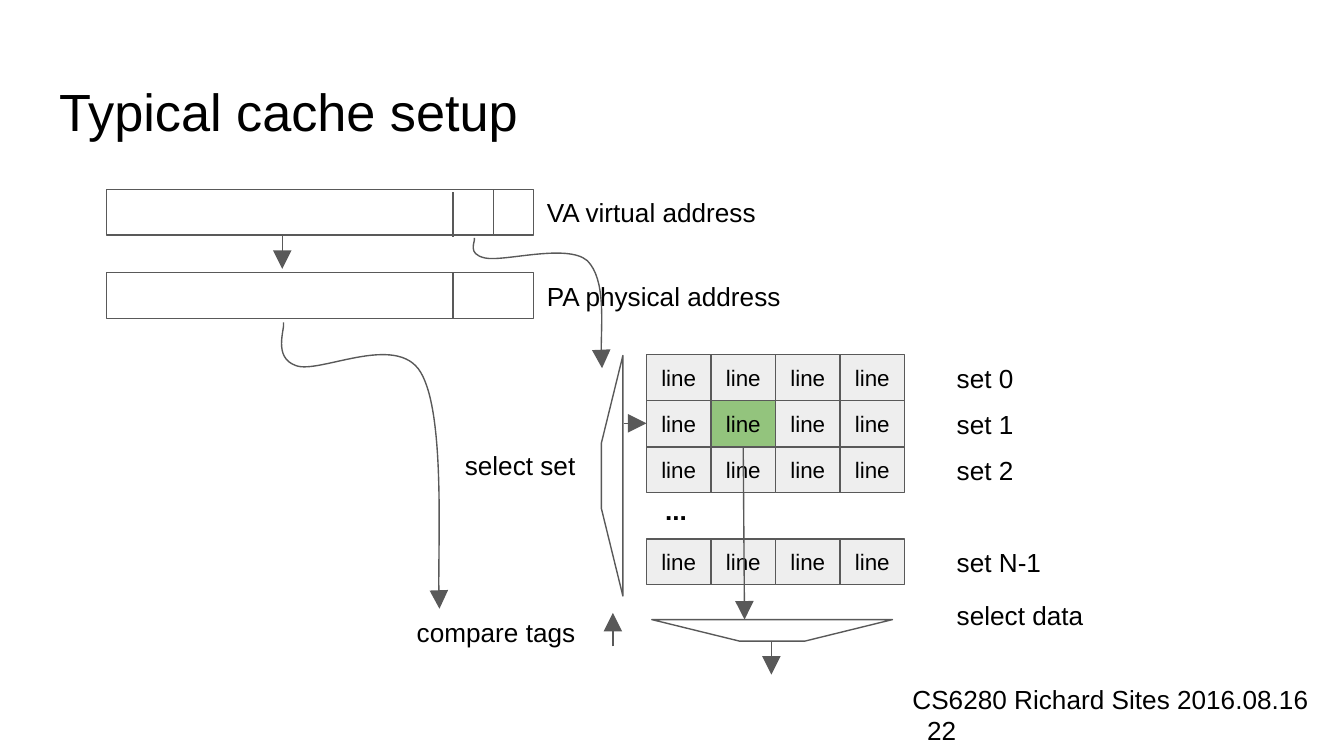
from lxml.etree import SubElement
from pptx import Presentation
from pptx.dml.color import RGBColor
from pptx.enum.shapes import MSO_CONNECTOR, MSO_SHAPE
from pptx.enum.text import MSO_ANCHOR, PP_ALIGN
from pptx.oxml.ns import qn
from pptx.util import Inches, Pt

COLORS = {"text": "000000", "line": "595959", "cell": "EEEEEE", "hit": "93C47D"}


def write(shape, text, size=14, align=PP_ALIGN.LEFT, anchor=MSO_ANCHOR.MIDDLE):
    frame = shape.text_frame
    frame.text = text
    frame.word_wrap = True
    frame.vertical_anchor = anchor
    frame.margin_left = frame.margin_right = Inches(0.1)
    frame.margin_top = frame.margin_bottom = Inches(0.1)
    para = frame.paragraphs[0]
    para.alignment = align
    para.font.size = Pt(size)
    para.font.name = "Arial"
    para.font.color.rgb = RGBColor.from_string(COLORS["text"])
    return para


def outline(shape, arrow=False):
    shape.line.color.rgb = RGBColor.from_string(COLORS["line"])
    shape.line.width = Pt(0.75)
    properties = shape._element.spPr
    if arrow:
        SubElement(properties.find(qn("a:ln")), qn("a:tailEnd"),
                   type="triangle", w="lg", len="lg")
    SubElement(properties, qn("a:effectLst"))


deck = Presentation()
deck.slide_width = Inches(10)
deck.slide_height = deck.slide_width * 9 // 16
page = deck.slides.add_slide(deck.slide_layouts[5])
shapes = page.shapes

title = shapes.title
title.left, title.top = Inches(0.34), Inches(0.49)
title.width, title.height = Inches(9.32), Inches(0.63)
write(title, "Typical cache setup", 28, anchor=MSO_ANCHOR.TOP)

footer = shapes.add_textbox(Inches(6.69), Inches(5.1), Inches(3.18), Inches(0.43))
credit = write(footer, "CS6280 Richard Sites 2016.08.16 22")
hanging = credit._p.get_or_add_pPr()
hanging.set("marL", str(Inches(0.11)))
hanging.set("indent", str(-Inches(0.11)))

for top in (1.41, 2.03):
    address = shapes.add_shape(MSO_SHAPE.RECTANGLE, Inches(0.79), Inches(top),
                               Inches(3.18), Inches(0.34))
    address.fill.background()
    outline(address)

table_left, table_top = 4.81, 2.64
cell_width, cell_height = 0.48, 0.34
row_pitch = (4.01 - table_top) / 4
set_rows = {"set 0": 0, "set 1": 1, "set 2": 2, "set N-1": 4}
labels = [
    ("VA virtual address", 3.97, 1.41, 2.17, PP_ALIGN.LEFT),
    ("PA physical address", 3.97, 2.03, 2.17, PP_ALIGN.LEFT),
    ("select set", 2.67, 3.29, 1.71, PP_ALIGN.RIGHT),
    ("compare tags", 2.67, 4.53, 1.71, PP_ALIGN.RIGHT),
    ("select data", 7.02, 4.41, 1.71, PP_ALIGN.LEFT),
]
for name, row in set_rows.items():
    top = table_top + row * row_pitch
    labels.append((name, 7.02, top, 1.71, PP_ALIGN.LEFT))
    for column in range(4):
        cell = shapes.add_shape(MSO_SHAPE.RECTANGLE, Inches(table_left + column * cell_width),
                                Inches(top), Inches(cell_width), Inches(cell_height))
        fill = "hit" if (row, column) == (1, 1) else "cell"
        cell.fill.solid()
        cell.fill.fore_color.rgb = RGBColor.from_string(COLORS[fill])
        outline(cell)
        write(cell, "line", 12, PP_ALIGN.CENTER)

for text, left, top, width, align in labels:
    box = shapes.add_textbox(Inches(left), Inches(top), Inches(width), Inches(0.34))
    write(box, text, align=align)

dots = shapes.add_textbox(Inches(4.85), Inches(3.67), Inches(0.86), Inches(0.25))
write(dots, "...").font.bold = True

for left, top, rotation in ((4.85, 4.61, 180), (3.66, 3.46, 270)):
    selector = shapes.add_shape(MSO_SHAPE.TRAPEZOID, Inches(left), Inches(top),
                                Inches(1.79), Inches(0.16))
    selector.rotation = rotation
    selector.adjustments[0] = 4.07
    selector.fill.background()
    outline(selector)

lines = [
    (3.37, 1.76, 3.37, 1.43, False),
    (3.37, 2.37, 3.37, 2.03, False),
    (3.67, 1.74, 3.67, 1.41, False),
    (2.1, 1.75, 2.1, 2, True),
    (5.74, 4.77, 5.74, 5.02, True),
    (4.56, 4.81, 4.56, 4.56, True),
    (5.53, 3.33, 5.54, 4.61, True),
    (4.64, 3.15, 4.81, 3.15, True),
]
for x1, y1, x2, y2, arrow in lines:
    line = shapes.add_connector(MSO_CONNECTOR.STRAIGHT, Inches(x1), Inches(y1),
                                Inches(x2), Inches(y2))
    outline(line, arrow)

curves = [
    [(3.53, 1.77), (3.54, 1.8), (3.47, 1.89), (3.61, 1.92), (3.75, 1.95),
     (4.22, 1.81), (4.37, 1.94), (4.51, 2.08), (4.46, 2.61), (4.48, 2.74)],
    [(2.11, 2.4), (2.12, 2.45), (2.03, 2.66), (2.2, 2.72), (2.37, 2.79),
     (2.95, 2.47), (3.13, 2.77), (3.31, 3.07), (3.25, 4.24), (3.27, 4.53)],
]
for points in curves:
    start, *rest = [(Inches(x), Inches(y)) for x, y in points]
    builder = shapes.build_freeform(*start)
    builder.add_line_segments(rest, close=False)
    curve = builder.convert_to_shape()
    curve.fill.background()
    outline(curve, arrow=True)
    route = next(curve._element.iter(qn("a:path")))
    segments = route.findall(qn("a:lnTo"))
    for first in range(0, len(segments), 3):
        bend = SubElement(route, qn("a:cubicBezTo"))
        for segment in segments[first:first + 3]:
            bend.append(segment[0])
            route.remove(segment)

deck.save("out.pptx")
